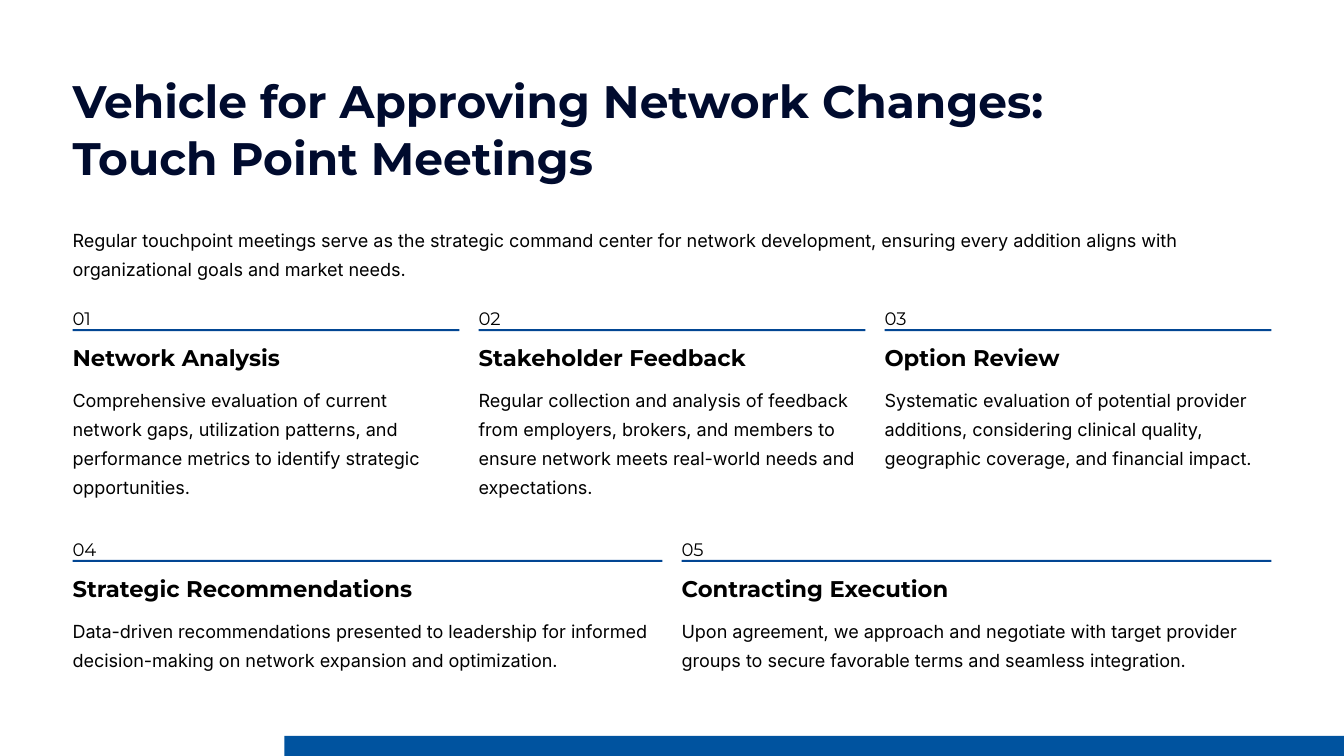
from pptx import Presentation
from pptx.dml.color import RGBColor
from pptx.enum.shapes import MSO_SHAPE as Shape
from pptx.util import Inches, Pt

LEFT, CONTENT_WIDTH, COLUMN_GAP = 0.72, 11.89, 0.19
INK, NAVY, RULE_BLUE, BAR_BLUE = "000000", "000B2E", "024693", "00539F"
HEAD_FONT, BODY_FONT = "Montserrat", "Inter"

TITLE = ["Vehicle for Approving Network Changes:", "Touch Point Meetings"]
INTRO = ("Regular touchpoint meetings serve as the strategic command center for network "
         "development, ensuring every addition aligns with organizational goals and market needs.")
# Each row: top, height of the body text, steps
STEP_ROWS = [
    (2.98, 1.16, [
        ("Network Analysis",
         "Comprehensive evaluation of current network gaps, utilization patterns, and "
         "performance metrics to identify strategic opportunities."),
        ("Stakeholder Feedback",
         "Regular collection and analysis of feedback from employers, brokers, and members "
         "to ensure network meets real-world needs and expectations."),
        ("Option Review",
         "Systematic evaluation of potential provider additions, considering clinical "
         "quality, geographic coverage, and financial impact."),
    ]),
    (5.27, 0.58, [
        ("Strategic Recommendations",
         "Data-driven recommendations presented to leadership for informed decision-making "
         "on network expansion and optimization."),
        ("Contracting Execution",
         "Upon agreement, we approach and negotiate with target provider groups to secure "
         "favorable terms and seamless integration."),
    ]),
]


def color(hex_code):
    return RGBColor.from_string(hex_code)


class SlideBuilder:
    def __init__(self, slide):
        self.slide = slide

    def background(self, fill):
        background = self.slide.background.fill
        background.solid()
        background.fore_color.rgb = color(fill)

    def bar(self, left, top, width, height, fill):
        bar = self.slide.shapes.add_shape(
            Shape.RECTANGLE, Inches(left), Inches(top), Inches(width), Inches(height))
        bar.shadow.inherit = False
        bar.fill.solid()
        bar.fill.fore_color.rgb = color(fill)
        bar.line.fill.background()

    def text(self, box, lines, size=12.9, spacing=20.8, font=BODY_FONT, ink=INK, bold=False):
        """Place one paragraph per line in box (left, top, width, height)."""
        frame = self.slide.shapes.add_textbox(*map(Inches, box)).text_frame
        frame.word_wrap = True
        frame.margin_left = frame.margin_right = frame.margin_top = frame.margin_bottom = 0
        for index, line in enumerate(lines):
            paragraph = frame.add_paragraph() if index else frame.paragraphs[0]
            paragraph.line_spacing = Pt(spacing)
            run = paragraph.add_run()
            run.text = line
            run.font.name, run.font.size, run.font.bold = font, Pt(size), bold
            run.font.color.rgb = color(ink)

    def step(self, left, top, width, body_height, number, heading, body):
        self.text((left, top, width, 0.23), [f"{number:02d}"], font=HEAD_FONT)
        self.bar(left, top + 0.285, width, 0.02, RULE_BLUE)
        self.text((left, top + 0.42, width, 0.28), [heading],
                  size=16.2, spacing=20, font=HEAD_FONT, bold=True)
        self.text((left, top + 0.81, width, body_height), [body])


def main():
    deck = Presentation()
    deck.slide_width, deck.slide_height = Inches(13.33), Inches(7.5)
    builder = SlideBuilder(deck.slides.add_slide(deck.slide_layouts[6]))

    builder.background("FFFFFF")
    builder.text((LEFT, 0.71, CONTENT_WIDTH, 1.13), TITLE,
                 size=32.5, spacing=40.4, font=HEAD_FONT, ink=NAVY, bold=True)
    builder.text((LEFT, 2.2, CONTENT_WIDTH, 0.58), [INTRO])

    number = 0
    for top, body_height, steps in STEP_ROWS:
        width = (CONTENT_WIDTH - COLUMN_GAP * (len(steps) - 1)) / len(steps)
        for column, (heading, body) in enumerate(steps):
            number += 1
            left = LEFT + column * (width + COLUMN_GAP)
            builder.step(left, top, width, body_height, number, heading, body)

    builder.bar(2.82, 7.3, 10.51, 0.2, BAR_BLUE)
    deck.save("out.pptx")


if __name__ == "__main__":
    main()
